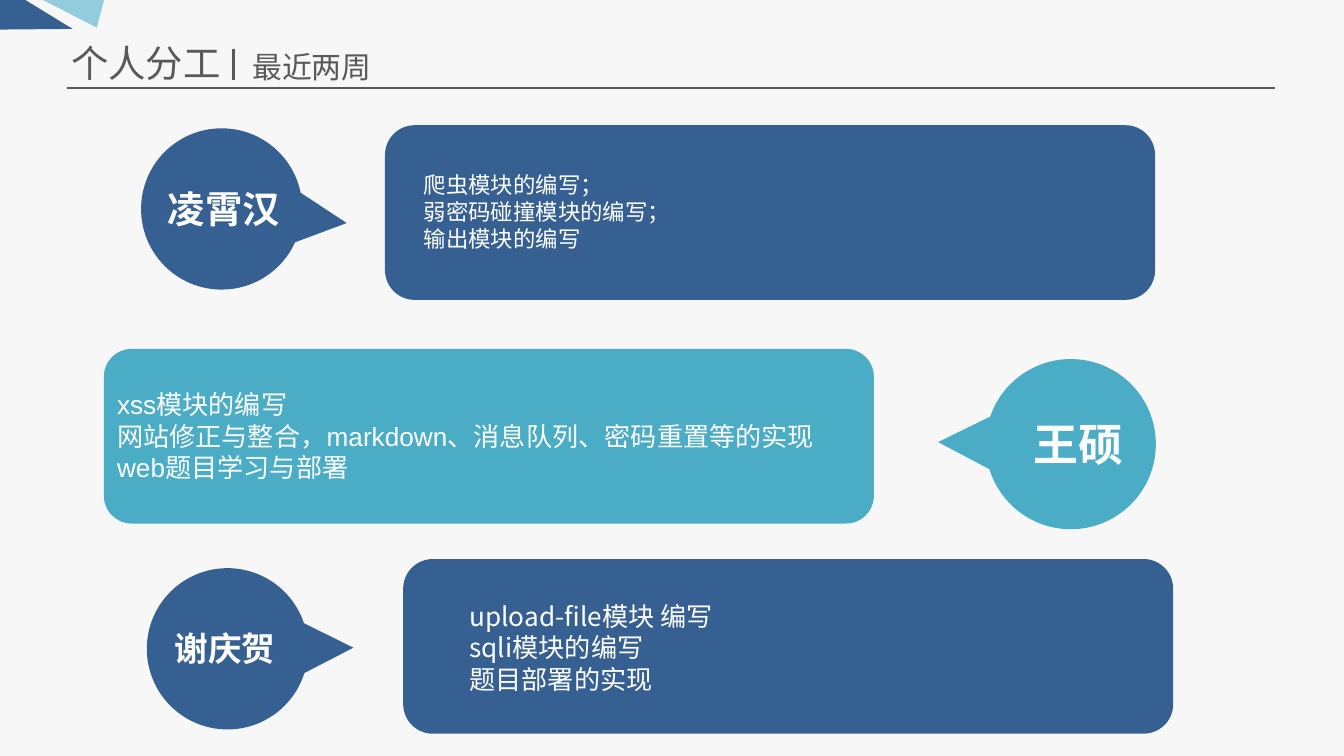
import math
from dataclasses import dataclass

from lxml import etree
from pptx import Presentation, util as u
from pptx.dml.color import RGBColor
from pptx.enum import shapes, text
from pptx.oxml.ns import qn

Point = tuple[float, float]


@dataclass(frozen=True)
class Theme:
    back: str = "F7F7F7"
    ink: str = "595959"
    blue: str = "376092"
    teal: str = "4BACC6"
    pale: str = "93CDDD"
    white: str = "FFFFFF"
    cjk: str = "Noto Sans CJK SC"
    latin: str = "Arial"
    title: int = 20
    subtitle: int = 16


@dataclass(frozen=True)
class Box:
    """Position and size in grid cells."""
    x: float
    y: float
    w: float
    h: float


@dataclass(frozen=True)
class Bubble:
    """Round name badge with a pointer, in grid cells."""
    x: float
    y: float
    radius: float
    tip: Point


@dataclass(frozen=True)
class Member:
    name: str
    name_size: int
    name_box: Box
    name_inset: bool
    bubble: Bubble
    color: str
    panel: Box
    tasks: str
    task_size: int
    task_font: str
    task_box: Box
    corner: float = 0.17


T = Theme()
COLS, ROWS = 100, 56.25  # square cells
PANEL_W, PANEL_H = 57.3, 13
HALF_POINTER = 18  # degrees

MEMBERS = [
    Member("凌霄汉", 20, Box(11.75, 13.85, 9.8, 3.4), False,
           Bubble(16.5, 15.55, 6, (25.8, 16.6)), T.blue,
           Box(28.65, 9.32, PANEL_W, PANEL_H),
           "爬虫模块的编写；\n弱密码碰撞模块的编写；\n输出模块的编写",
           12, T.latin, Box(30.55, 12.27, 53.5, 7.1)),
    Member("王硕", 24, Box(75.45, 31, 9.6, 4), False,
           Bubble(79.67, 33.05, 6.33, (69.8, 32.9)), T.teal,
           Box(7.73, 25.96, PANEL_W, PANEL_H),
           "xss模块的编写\n网站修正与整合，markdown、消息队列、密码重置等的实现\n"
           "web题目学习与部署",
           14, T.latin, Box(7.73, 28.42, PANEL_W, 8.1), 0.16),
    Member("谢庆贺", 18, Box(11.95, 46.25, 9.6, 4), True,
           Bubble(16.93, 48.28, 6, (26.3, 48.2)), T.blue,
           Box(30, 41.6, PANEL_W, PANEL_H),
           "upload-file模块 编写\nsqli模块的编写\n题目部署的实现",
           14, T.cjk, Box(33.95, 44.17, 53.4, 10.4)),
]

prs = Presentation()
prs.slide_width, prs.slide_height = u.Inches(10), u.Inches(5.625)
s = prs.slides.add_slide(prs.slide_layouts[6])


def cells(n: float) -> int:
    return round(prs.slide_width * n / COLS)


def place(box: Box) -> list[int]:
    return [cells(n) for n in (box.x, box.y, box.w, box.h)]


def paint(sp, color: str) -> None:
    sp.shadow.inherit = False
    sp.fill.solid()
    sp.fill.fore_color.rgb = RGBColor.from_string(color)
    sp.line.fill.background()


def add_text(content: str, box: Box, *, size: int, color: str = T.white,
             font: str = T.cjk, bold: bool = False, wrap: bool = True,
             inset: bool = True, align=text.PP_ALIGN.LEFT) -> None:
    tf = s.shapes.add_textbox(*place(box)).text_frame
    tf.word_wrap = wrap
    tf.auto_size = text.MSO_AUTO_SIZE.SHAPE_TO_FIT_TEXT
    if not inset:
        tf.margin_left = tf.margin_right = tf.margin_top = tf.margin_bottom = 0
    for i, line in enumerate(content.split("\n")):
        p = tf.add_paragraph() if i else tf.paragraphs[0]
        p.alignment = align
        r = p.add_run()
        r.text = line
        r.font.size, r.font.bold = u.Pt(size), bold
        r.font.color.rgb = RGBColor.from_string(color)
        r.font.name = font
        etree.SubElement(r.font._element, qn("a:ea"), typeface=T.cjk)


def add_line(x1: float, y1: float, x2: float, y2: float, width: float) -> None:
    line = s.shapes.add_connector(shapes.MSO_CONNECTOR.STRAIGHT,
                                  *map(cells, (x1, y1, x2, y2)))
    line.line.color.rgb = RGBColor.from_string(T.ink)
    line.line.width = u.Pt(width)
    etree.SubElement(line._element.spPr, qn("a:effectLst"))


def add_outline(points: list[Point], color: str):
    start, *rest = [(cells(x), cells(y)) for x, y in points]
    builder = s.shapes.build_freeform(*start)
    builder.add_line_segments(rest, close=True)
    sp = builder.convert_to_shape()
    paint(sp, color)
    return sp


def arc_curve(b: Bubble, a1: float, a2: float) -> list[Point]:
    """Two control points and the end of a cubic curve along the circle."""
    pull = 4 / 3 * math.tan((a2 - a1) / 4)

    def at(a: float, along: float) -> Point:
        return (b.x + b.radius * (math.cos(a) - along * math.sin(a)),
                b.y + b.radius * (math.sin(a) + along * math.cos(a)))

    return [at(a1, pull), at(a2, -pull), at(a2, 0)]


def add_bubble(b: Bubble, color: str) -> None:
    """Go from the tip round the circle, one curve per quadrant."""
    aim = math.degrees(math.atan2(b.tip[1] - b.y, b.tip[0] - b.x)) % 360
    first, last = aim + HALF_POINTER, aim + 360 - HALF_POINTER
    stops = [first, *(q for q in range(0, 720, 90) if first < q < last), last]
    stops = [math.radians(a) for a in stops]
    points = [b.tip, (b.x + b.radius * math.cos(stops[0]),
                      b.y + b.radius * math.sin(stops[0]))]
    for a1, a2 in zip(stops, stops[1:]):
        points += arc_curve(b, a1, a2)
    sp = add_outline(points, color)

    # Every three segments after the pointer's edge become one curve
    edges = list(sp._element.iter(qn("a:lnTo")))[1:]
    for i in range(0, len(edges), 3):
        curve = etree.Element(qn("a:cubicBezTo"))
        edges[i].addprevious(curve)
        for edge in edges[i:i + 3]:
            curve.append(edge[0])
            edge.getparent().remove(edge)


def add_member(m: Member) -> None:
    add_bubble(m.bubble, m.color)
    panel = s.shapes.add_shape(shapes.MSO_SHAPE.ROUNDED_RECTANGLE,
                               *place(m.panel))
    panel.adjustments[0] = m.corner
    paint(panel, m.color)
    add_text(m.name, m.name_box, size=m.name_size, bold=True,
             wrap=not m.name_inset, inset=m.name_inset,
             align=text.PP_ALIGN.CENTER)
    add_text(m.tasks, m.task_box, size=m.task_size, font=m.task_font,
             align=text.PP_ALIGN.JUSTIFY)


# Background and corner decoration
s.background.fill.solid()
s.background.fill.fore_color.rgb = RGBColor.from_string(T.back)
add_outline([(3.2, 0), (7.2, 2.05), (7.75, 0)], T.pale)
add_outline([(5.4, 2.15), (1.9, 0), (0, 0), (0, 2.2)], T.blue)

# Heading
add_line(5, 6.55, 94.9, 6.55, 0.75)
add_text("个人分工", Box(4.3, 2.5, 13.2, 4.4), size=T.title, color=T.ink, wrap=False)
add_text("最近两周", Box(17.8, 3.15, 10.9, 3.7), size=T.subtitle, color=T.ink, wrap=False)
add_line(17.4, 3.62, 17.4, 5.92, 1.5)

# Team members and their tasks
for member in MEMBERS:
    add_member(member)

prs.save("out.pptx")
